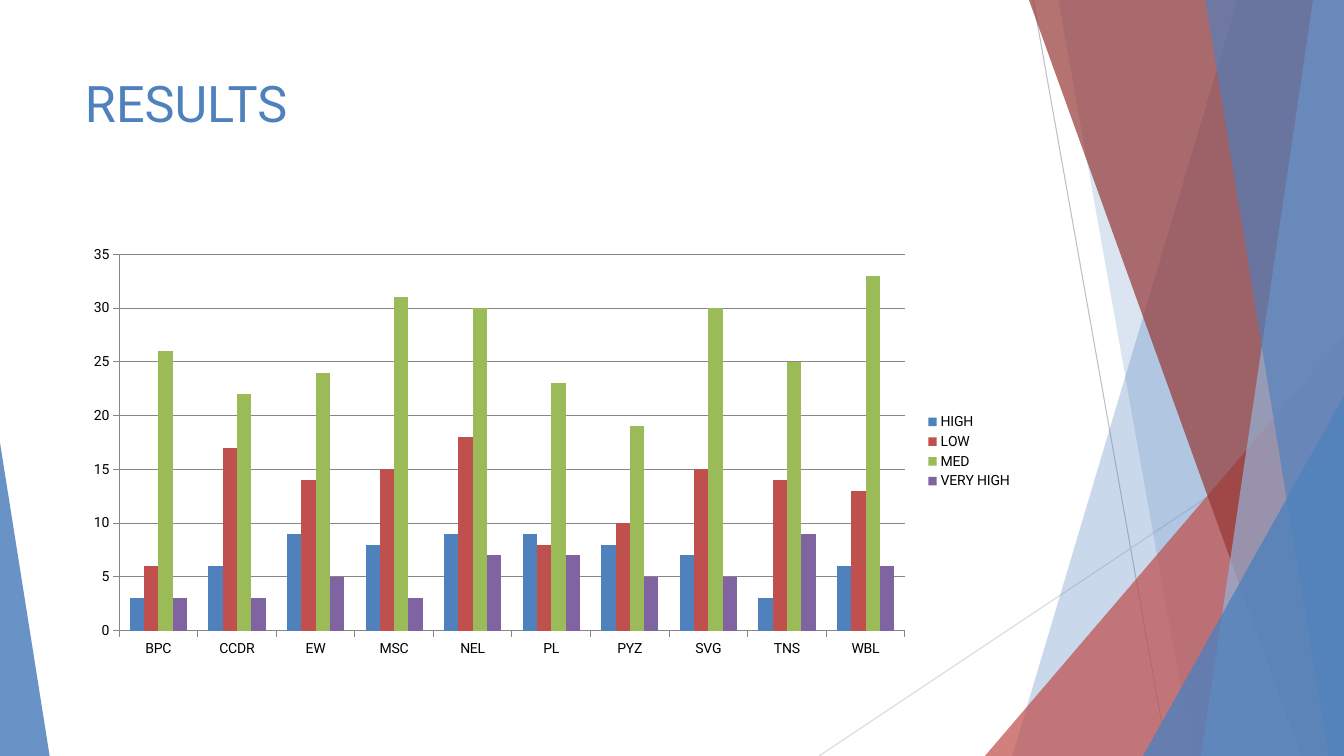
from dataclasses import dataclass

from lxml.etree import SubElement
from pptx import Presentation
from pptx.chart.data import CategoryChartData
from pptx.dml.color import RGBColor
from pptx.enum.chart import XL_CHART_TYPE, XL_LEGEND_POSITION, XL_TICK_MARK
from pptx.enum.shapes import MSO_CONNECTOR, MSO_SHAPE
from pptx.enum.text import MSO_ANCHOR, PP_ALIGN
from pptx.oxml.ns import qn
from pptx.util import Pt


@dataclass(frozen=True)
class Theme:
    font: str = "Roboto"
    title_size: int = 36
    chart_size: int = 10
    blue: str = "4F81BD"
    pale_blue: str = "95B3D7"
    red: str = "C0504D"
    dark_red: str = "953735"
    green: str = "9BBB59"
    purple: str = "8064A2"
    black: str = "000000"
    axis: str = "868686"
    silver: str = "BFBFBF"
    light_silver: str = "D9D9D9"


THEME = Theme()
WIDTH, HEIGHT = 960, 540

TITLE = "RESULTS"
TITLE_BOX = (53.5, 48, 677, 104)
CHART_BOX = (53.5, 170, 677, 305)
CATEGORIES = ["BPC", "CCDR", "EW", "MSC", "NEL", "PL", "PYZ", "SVG", "TNS", "WBL"]
SERIES = [
    ("HIGH", (3, 6, 9, 8, 9, 9, 8, 7, 3, 6), THEME.blue),
    ("LOW", (6, 17, 14, 15, 18, 8, 10, 15, 14, 13), THEME.red),
    ("MED", (26, 22, 24, 31, 30, 23, 19, 30, 25, 33), THEME.green),
    ("VERY HIGH", (3, 3, 5, 3, 7, 7, 5, 5, 9, 6), THEME.purple),
]

HAIRLINES = [
    ((738, 0), (834, HEIGHT), THEME.silver),
    ((WIDTH, 290), (585, HEIGHT), THEME.light_silver),
]
FACETS = [
    ("band", (884, 723), THEME.blue, 30),
    ("band", (756, 852), THEME.blue, 20),
    ("triangle", (703.5, 240, 256.5, 1), THEME.red, 72),
    ("band", (735, 929.5), THEME.dark_red, 70),
    ("band", (938, 858), THEME.pale_blue, 70),
    ("band", (861, 949), THEME.blue, 65),
    ("triangle", (816.5, 283, 143.5, 1), THEME.blue, 80),
    ("triangle", (0, 316, 35.5, 0), THEME.blue, 85),
]


def color(value):
    return RGBColor.from_string(value)


def points(values):
    return [Pt(value) for value in values]


def write_text(shape, text, *, size, fill, align=PP_ALIGN.LEFT, anchor=MSO_ANCHOR.TOP):
    frame = shape.text_frame
    frame.word_wrap = True
    frame.vertical_anchor = anchor
    paragraph = frame.paragraphs[0]
    paragraph.alignment = align
    run = paragraph.add_run()
    run.text = text
    run.font.name = THEME.font
    run.font.size = Pt(size)
    run.font.color.rgb = color(fill)


def add_hairline(shapes, start, end, stroke):
    line = shapes.add_connector(MSO_CONNECTOR.STRAIGHT, *points(start + end))
    line.line.color.rgb = color(stroke)
    line.line.width = Pt(0.75)
    SubElement(line._element.spPr, qn("a:effectLst"))


def add_band(shapes, top, bottom):
    builder = shapes.build_freeform(Pt(top), Pt(0))
    corners = [(WIDTH, 0), (WIDTH, HEIGHT), (bottom, HEIGHT)]
    builder.add_line_segments([points(corner) for corner in corners], close=True)
    return builder.convert_to_shape()


def add_triangle(shapes, left, top, width, apex):
    box = points((left, top, width, HEIGHT - top))
    triangle = shapes.add_shape(MSO_SHAPE.ISOSCELES_TRIANGLE, *box)
    triangle.adjustments[0] = apex
    return triangle


def add_facet(shapes, kind, geometry, fill, opacity):
    build = {"band": add_band, "triangle": add_triangle}[kind]
    facet = build(shapes, *geometry)
    facet.shadow.inherit = False
    facet.line.fill.background()
    facet.fill.solid()
    facet.fill.fore_color.rgb = color(fill)
    tint = facet._element.spPr.find(qn("a:solidFill"))[0]
    SubElement(tint, qn("a:alpha"), val=str(opacity * 1000))


def style_line(line):
    line.color.rgb = color(THEME.axis)
    line.width = Pt(0.75)


def add_results_chart(shapes):
    data = CategoryChartData()
    data.categories = CATEGORIES
    for name, values, _ in SERIES:
        data.add_series(name, values)
    chart = shapes.add_chart(XL_CHART_TYPE.COLUMN_CLUSTERED, *points(CHART_BOX), data).chart
    chart.has_title = False
    chart.font.name = THEME.font
    chart.font.size = Pt(THEME.chart_size)
    chart.font.color.rgb = color(THEME.black)
    chart.has_legend = True
    chart.legend.position = XL_LEGEND_POSITION.RIGHT
    chart.legend.include_in_layout = False

    for axis in (chart.category_axis, chart.value_axis):
        axis.major_tick_mark = XL_TICK_MARK.OUTSIDE
        axis.minor_tick_mark = XL_TICK_MARK.NONE
        style_line(axis.format.line)
    chart.value_axis.minimum_scale = 0
    chart.value_axis.maximum_scale = 35
    chart.value_axis.major_unit = 5
    chart.value_axis.has_major_gridlines = True
    style_line(chart.value_axis.major_gridlines.format.line)

    plot = chart.plots[0]
    plot.gap_width = 150
    plot.overlap = 0
    plot.vary_by_categories = False
    for series, (_, _, fill) in zip(plot.series, SERIES):
        series.format.fill.solid()
        series.format.fill.fore_color.rgb = color(fill)
        series.invert_if_negative = False


def main():
    presentation = Presentation()
    presentation.slide_width, presentation.slide_height = points((WIDTH, HEIGHT))
    slide = presentation.slides.add_slide(presentation.slide_layouts[5])
    shapes = slide.shapes
    for hairline in HAIRLINES:
        add_hairline(shapes, *hairline)
    for facet in FACETS:
        add_facet(shapes, *facet)

    title = shapes.title
    title.left, title.top, title.width, title.height = points(TITLE_BOX)
    write_text(title, TITLE, size=THEME.title_size, fill=THEME.blue)
    add_results_chart(shapes)
    presentation.save("out.pptx")


if __name__ == "__main__":
    main()
